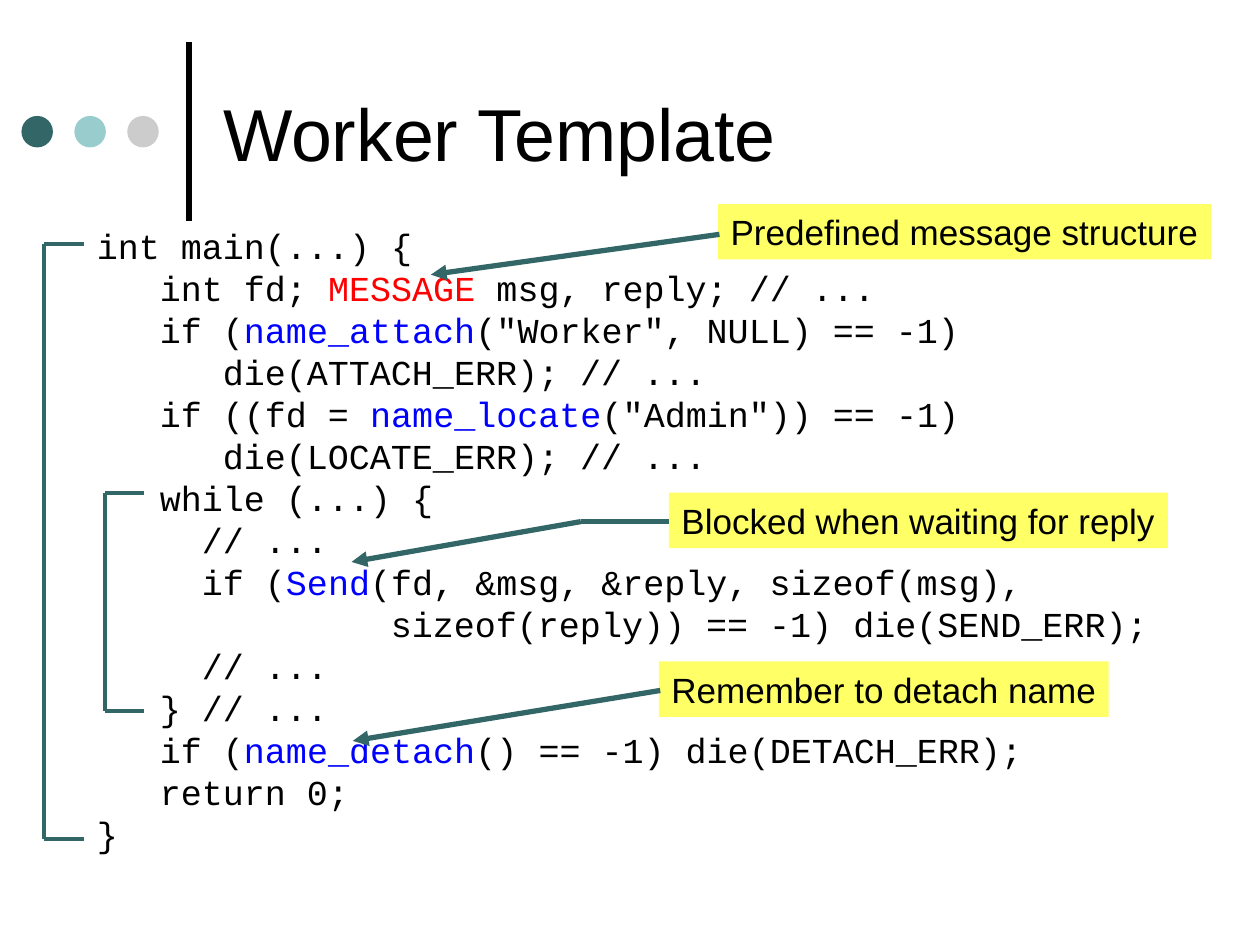
"""Build the Worker Template slide: annotated code with brackets and callouts."""
from pptx import Presentation
from pptx import util as u
from pptx.dml.color import RGBColor
from pptx.enum import shapes, text
from pptx.oxml.ns import qn
from lxml import etree

HUE = {"ink": "000000", "teal": "336666", "aqua": "99CCCC", "gray": "CCCCCC",
       "note": "FFFF66", "type": "FF0000", "call": "0000FF"}


def style(run, size, face, hue="ink"):
    run.font.size = u.Pt(size)
    run.font.name = face
    run.font.color.rgb = RGBColor.from_string(HUE[hue])


def draw(start, end, width, hue="teal", arrow=False):
    line = slide.shapes.add_connector(
        shapes.MSO_CONNECTOR.STRAIGHT, *[u.Inches(n) for n in start + end])
    line.line.width = u.Pt(width)
    line.line.color.rgb = RGBColor.from_string(HUE[hue])
    if arrow:
        etree.SubElement(line.line._get_or_add_ln(), qn("a:tailEnd"), type="triangle")
    etree.SubElement(line._element.spPr, qn("a:effectLst"))


deck = Presentation()
deck.slide_width, deck.slide_height = u.Inches(10), u.Inches(7.5)
slide = deck.slides.add_slide(deck.slide_layouts[5])

draw((1.5, 1.75), (1.5, 0.33), 3, "ink")
for i, hue in enumerate(("teal", "aqua", "gray")):
    dot = slide.shapes.add_shape(
        shapes.MSO_SHAPE.OVAL, u.Inches(0.17 + 0.42 * i), u.Inches(0.92),
        u.Inches(0.25), u.Inches(0.25))
    dot.shadow.inherit = False
    dot.fill.solid()
    dot.fill.fore_color.rgb = RGBColor.from_string(HUE[hue])
    dot.line.fill.background()

title = slide.shapes.title
title.left, title.top = u.Inches(1.67), u.Inches(0.21)
title.width, title.height = u.Inches(7.67), u.Inches(1.67)
title.text_frame.text = "Worker Template"
title.text_frame.vertical_anchor = text.MSO_ANCHOR.MIDDLE
head = title.text_frame.paragraphs[0]
head.alignment = text.PP_ALIGN.LEFT
style(head.runs[0], 42, "Arial")

CODE = [
    (0, "int main(...) {"),
    (3, "int fd; ", "MESSAGE", " msg, reply; // ..."),
    (3, "if (", "name_attach", '("Worker", NULL) == -1)'),
    (6, "die(ATTACH_ERR); // ..."),
    (3, "if ((fd = ", "name_locate", '("Admin")) == -1)'),
    (6, "die(LOCATE_ERR); // ..."),
    (3, "while (...) {"),
    (5, "// ..."),
    (5, "if (", "Send", "(fd, &msg, &reply, sizeof(msg),"),
    (14, "sizeof(reply)) == -1) die(SEND_ERR);"),
    (5, "// ..."),
    (3, "} // ..."),
    (3, "if (", "name_detach", "() == -1) die(DETACH_ERR);"),
    (3, "return 0;"),
    (0, "}"),
]
box = slide.shapes.add_textbox(u.Inches(0.67), u.Inches(1.73), u.Inches(8.66), u.Inches(5.1))
frame = box.text_frame
frame.word_wrap = True
for i, (depth, *parts) in enumerate(CODE):
    para = frame.paragraphs[0] if i == 0 else frame.add_paragraph()
    para.line_spacing = u.Pt(24)
    para._p.get_or_add_pPr().set("marL", str(u.Pt(12 * depth)))
    for j, part in enumerate(parts):
        run = para.add_run()
        run.text = part
        hue = "ink" if j != 1 else "type" if part == "MESSAGE" else "call"
        style(run, 20, "Courier New", hue)

for left, right, top, base in ((0.35, 0.67, 1.94, 6.66), (0.83, 1.14, 3.91, 5.64)):
    ends = [(right, top), (left, top), (left, base), (right, base)]
    for start, end in zip(ends, ends[1:]):
        draw(start, end, 2.25)

NOTES = [
    ("Predefined message structure", 5.7, 1.62, 3.91, [(5.71, 1.86), (3.42, 2.18)]),
    ("Blocked when waiting for reply", 5.31, 3.91, 3.96,
     [(5.31, 4.14), (4.61, 4.14), (2.79, 4.46)]),
    ("Remember to detach name", 5.23, 5.25, 3.57, [(5.24, 5.48), (2.8, 5.88)]),
]
for label, left, top, width, route in NOTES:
    note = slide.shapes.add_shape(
        shapes.MSO_SHAPE.RECTANGLE, u.Inches(left), u.Inches(top),
        u.Inches(width), u.Inches(0.44))
    note.shadow.inherit = False
    note.fill.solid()
    note.fill.fore_color.rgb = RGBColor.from_string(HUE["note"])
    note.line.fill.background()
    note.text_frame.word_wrap = False
    note.text_frame.text = label
    para = note.text_frame.paragraphs[0]
    para.alignment = text.PP_ALIGN.LEFT
    style(para.runs[0], 20, "Arial")
    for start, end in zip(route, route[1:]):
        draw(start, end, 3, arrow=end == route[-1])

deck.save("out.pptx")
